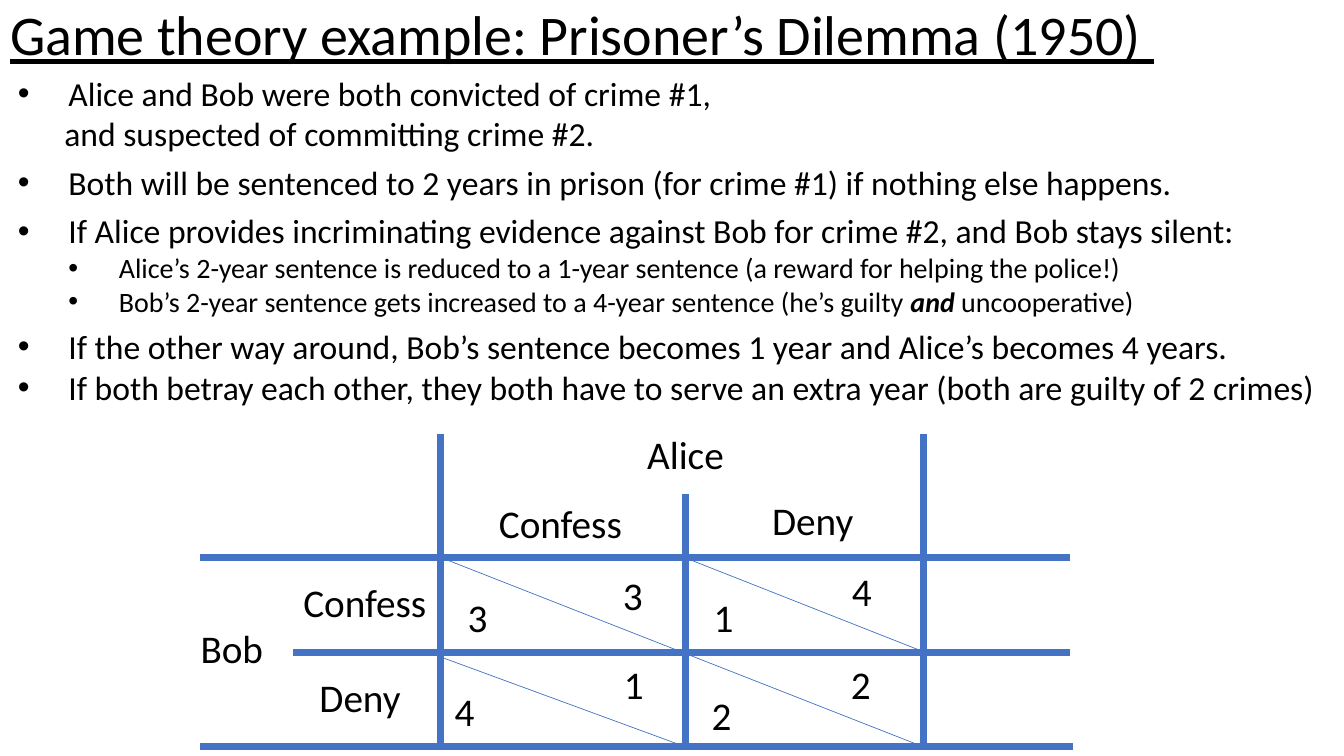
from dataclasses import dataclass

from lxml.etree import SubElement
from pptx import Presentation
from pptx.dml.color import RGBColor
from pptx.enum.shapes import MSO_CONNECTOR
from pptx.enum.text import MSO_ANCHOR, MSO_AUTO_SIZE, PP_ALIGN
from pptx.oxml.ns import qn
from pptx.util import Pt

PX = 9144


@dataclass(frozen=True)
class Theme:
    font: str = "Calibri"
    ink: RGBColor = RGBColor(0x00, 0x00, 0x00)
    rule: RGBColor = RGBColor(0x44, 0x72, 0xC4)
    title: int = 40
    label: int = 28
    point: int = 24
    detail: int = 20
    gap: int = 6
    thick: float = 5
    thin: float = 0.5


THEME = Theme()

TITLE = "Game theory example: Prisoner’s Dilemma (1950) "
TITLE_BOX = (0, -5, 1277, 212)

STORY = [
    ("point", 0, ["Alice and Bob were both convicted of crime #1,"]),
    ("continued", 0, ["and suspected of committing crime #2."]),
    ("point", THEME.gap, ["Both will be sentenced to 2 years in prison (for crime #1) if nothing else happens."]),
    ("point", THEME.gap, ["If Alice provides incriminating evidence against Bob for crime #2, and Bob stays silent:"]),
    ("detail", 0, ["Alice’s 2-year sentence is reduced to a 1-year sentence (a reward for helping the police!)"]),
    ("detail", 0, ["Bob’s 2-year sentence gets increased to a 4-year sentence (he’s guilty ", "and", " uncooperative)"]),
    ("point", THEME.gap, ["If the other way around, Bob’s sentence becomes 1 year and Alice’s becomes 4 years."]),
    ("point", 0, ["If both betray each other, they both have to serve an extra year (both are guilty of 2 crimes)"]),
]
STORY_BOX = (8, 67, 1325, 345)
EMPHASIS = "and"
KINDS = {
    "point": (0, THEME.point, 50, -50),
    "continued": (0, THEME.point, 46, 0),
    "detail": (1, THEME.detail, 100, -50),
}

COLUMN_RULES = [(437, 431, 741), (680, 490, 743), (916, 431, 743)]
ROW_RULES = [(553, 198, 1061), (647, 291, 1061), (741, 198, 1064)]
DIAGONALS = [(437, 553, 916, 741), (676, 552, 917, 647), (435, 651, 680, 741)]

LABEL_WIDTH, YEARS_WIDTH, LABEL_HEIGHT = 178, 70, 57
LABELS = [
    ("Alice", 632, 422), ("Confess", 485, 490), ("Deny", 756, 487),
    ("Bob", 189, 614), ("Confess", 291, 569), ("Deny", 307, 663),
]
YEARS = [
    ("3", 454, 584), ("3", 608, 562), ("1", 698, 584), ("4", 835, 558),
    ("4", 441, 677), ("1", 609, 650), ("2", 696, 681), ("2", 834, 650),
]


def emu(lengths):
    return [length * PX for length in lengths]


def add_text(paragraph, words, size):
    run = paragraph.add_run()
    run.text = words
    run.font.name = THEME.font
    run.font.size = Pt(size)
    run.font.color.rgb = THEME.ink
    return run


def add_box(slide, box):
    frame = slide.shapes.add_textbox(*emu(box)).text_frame
    frame.word_wrap = True
    frame.auto_size = MSO_AUTO_SIZE.SHAPE_TO_FIT_TEXT
    return frame


def add_rule(slide, ends, weight):
    rule = slide.shapes.add_connector(MSO_CONNECTOR.STRAIGHT, *emu(ends))
    rule.line.color.rgb = THEME.rule
    rule.line.width = Pt(weight)
    SubElement(rule._element.spPr, qn("a:effectLst"))


def add_title(slide):
    title = slide.shapes.title
    title.left, title.top, title.width, title.height = emu(TITLE_BOX)
    frame = title.text_frame
    frame.auto_size = MSO_AUTO_SIZE.NONE
    frame.vertical_anchor = MSO_ANCHOR.TOP
    heading = frame.paragraphs[0]
    heading.alignment = PP_ALIGN.LEFT
    add_text(heading, TITLE, THEME.title).font.underline = True


def add_story(slide):
    frame = add_box(slide, STORY_BOX)
    for index, (kind, gap, parts) in enumerate(STORY):
        level, size, margin, indent = KINDS[kind]
        paragraph = frame.add_paragraph() if index else frame.paragraphs[0]
        paragraph.level = level
        paragraph.space_before = Pt(gap)
        properties = paragraph._p.get_or_add_pPr()
        properties.set("marL", str(margin * PX))
        properties.set("indent", str(indent * PX))
        if indent:
            SubElement(properties, qn("a:buFont"), typeface="Arial")
            SubElement(properties, qn("a:buChar"), char="•")
        for words in parts:
            run = add_text(paragraph, words, size)
            if words == EMPHASIS:
                run.font.bold = run.font.italic = True


def add_payoffs(slide):
    for x, top, bottom in COLUMN_RULES:
        add_rule(slide, (x, top, x, bottom), THEME.thick)
    for y, left, right in ROW_RULES:
        add_rule(slide, (left, y, right, y), THEME.thick)
    for ends in DIAGONALS:
        add_rule(slide, ends, THEME.thin)
    for entries, width in ((LABELS, LABEL_WIDTH), (YEARS, YEARS_WIDTH)):
        for words, left, top in entries:
            frame = add_box(slide, (left, top, width, LABEL_HEIGHT))
            add_text(frame.paragraphs[0], words, THEME.label)


def main():
    deck = Presentation()
    deck.slide_width, deck.slide_height = emu((1333, 750))
    slide = deck.slides.add_slide(deck.slide_layouts[5])
    add_title(slide)
    add_story(slide)
    add_payoffs(slide)
    deck.save("out.pptx")


if __name__ == "__main__":
    main()
